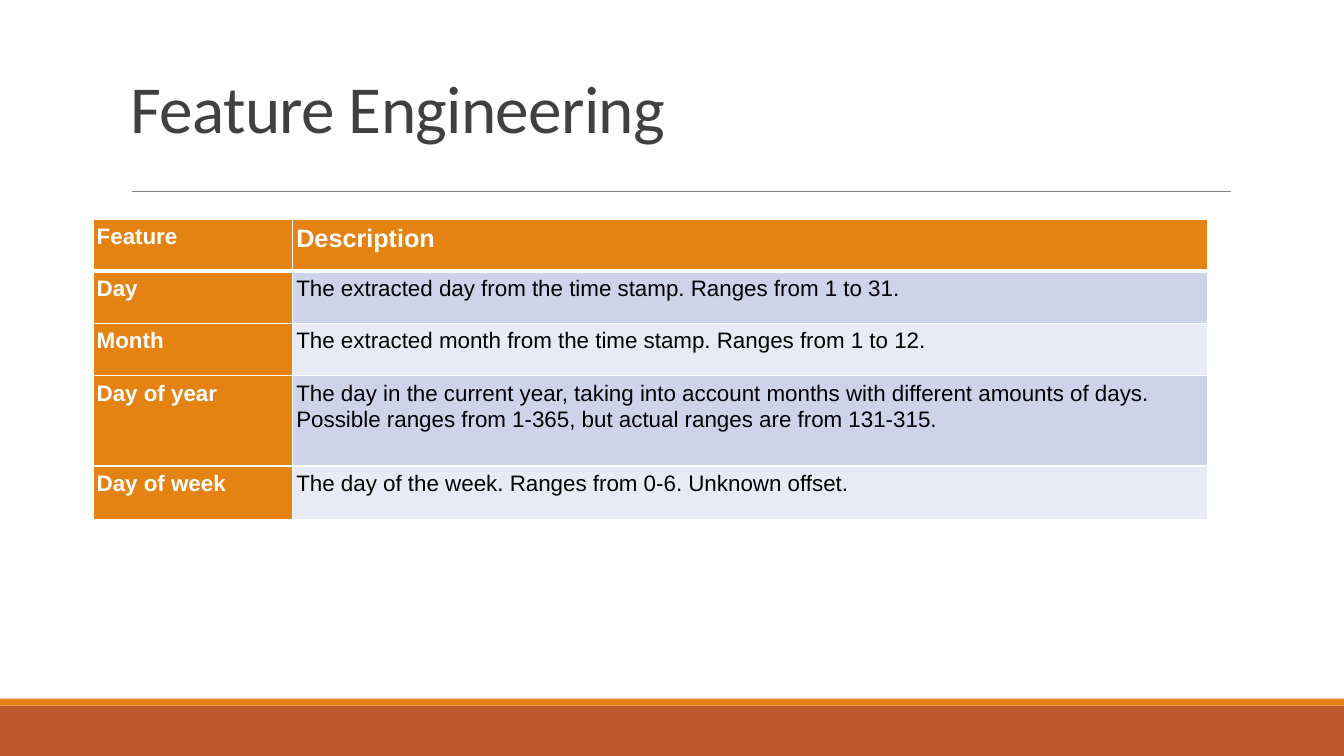
import pptx
import pptx.util
import pptx.dml.color
import pptx.enum.shapes
import pptx.enum.text
import pptx.oxml
import pptx.oxml.ns

Pt = pptx.util.Pt
space = pptx.oxml.ns.nsdecls("a")


def paint(part, color):
    if hasattr(part, "solid"):
        part.solid()
        part = part.fore_color
    else:
        part = part.color
    part.rgb = pptx.dml.color.RGBColor.from_string(color)


def write(para, text, face, size, color, bold=False):
    run = para.add_run()
    run.text = text
    run.font.name = face
    run.font.size = Pt(size)
    run.font.bold = bold
    paint(run.font.fill, color)
    return run


deck = pptx.Presentation()
deck.slide_width = Pt(960)
deck.slide_height = Pt(540)
slide = deck.slides.add_slide(deck.slide_layouts[6])

for top, height, color in [(504, 36, "BD582C"), (499, 5, "E48312")]:
    band = slide.shapes.add_shape(
        pptx.enum.shapes.MSO_SHAPE.RECTANGLE, 0, Pt(top), Pt(960), Pt(height))
    band.shadow.inherit = False
    paint(band.fill, color)
    band.line.fill.background()

rule = slide.shapes.add_connector(
    pptx.enum.shapes.MSO_CONNECTOR.STRAIGHT, Pt(94.3), Pt(136.6), Pt(879), Pt(136.6))
paint(rule.line.fill, "808080")
rule.line.width = Pt(0.5)
rule._element.spPr.append(pptx.oxml.parse_xml(f"<a:effectLst {space}/>"))

title = slide.shapes.add_textbox(Pt(86.4), Pt(22.5), Pt(792), Pt(114.2))
frame = title.text_frame
frame.word_wrap = True
frame.vertical_anchor = pptx.enum.text.MSO_ANCHOR.MIDDLE
para = frame.paragraphs[0]
para.line_spacing = 0.9
run = write(para, "Feature Engineering", "Calibri", 48, "404040")
run.font._element.set("spc", "-50")

rows = [
    ("Feature", "Description", 37.3),
    ("Day", "The extracted day from the time stamp. Ranges from 1 to 31.", 37.3),
    ("Month", "The extracted month from the time stamp. Ranges from 1 to 12.", 37.3),
    ("Day of year", "The day in the current year, taking into account months with "
     "different amounts of days. Possible ranges from 1-365, but actual ranges "
     "are from 131-315.", 64.7),
    ("Day of week", "The day of the week. Ranges from 0-6. Unknown offset.", 38),
]
grid = slide.shapes.add_table(
    len(rows), 2, Pt(66.4), Pt(156.4), Pt(796.4), Pt(214.6)).table
grid.columns[0].width = Pt(142.6)
grid.columns[1].width = Pt(653.8)

for r, (name, about, height) in enumerate(rows):
    grid.rows[r].height = Pt(height)
    for c, text in enumerate([name, about]):
        cell = grid.cell(r, c)
        cell.margin_left = cell.margin_right = Pt(2.7)
        cell.margin_top = cell.margin_bottom = Pt(2.7)
        props = cell._tc.get_or_add_tcPr()
        for side in "LRTB":
            thick = (r, side) in [(0, "B"), (1, "T")]
            edge = pptx.oxml.parse_xml(
                f'<a:ln{side} {space} w="{int(Pt(3 if thick else 1))}">'
                '<a:solidFill><a:srgbClr val="FFFFFF"/></a:solidFill>'
                f'</a:ln{side}>')
            props.append(edge)
        head = r == 0 or c == 0
        paint(cell.fill, "E48312" if head else "CDD4EA" if r % 2 else "E8EBF5")
        para = cell.text_frame.paragraphs[0]
        para.line_spacing = 1.07
        write(para, text, "Arial", 18 if r == 0 and c == 1 else 16,
              "FFFFFF" if head else "000000", head)

deck.save("out.pptx")
